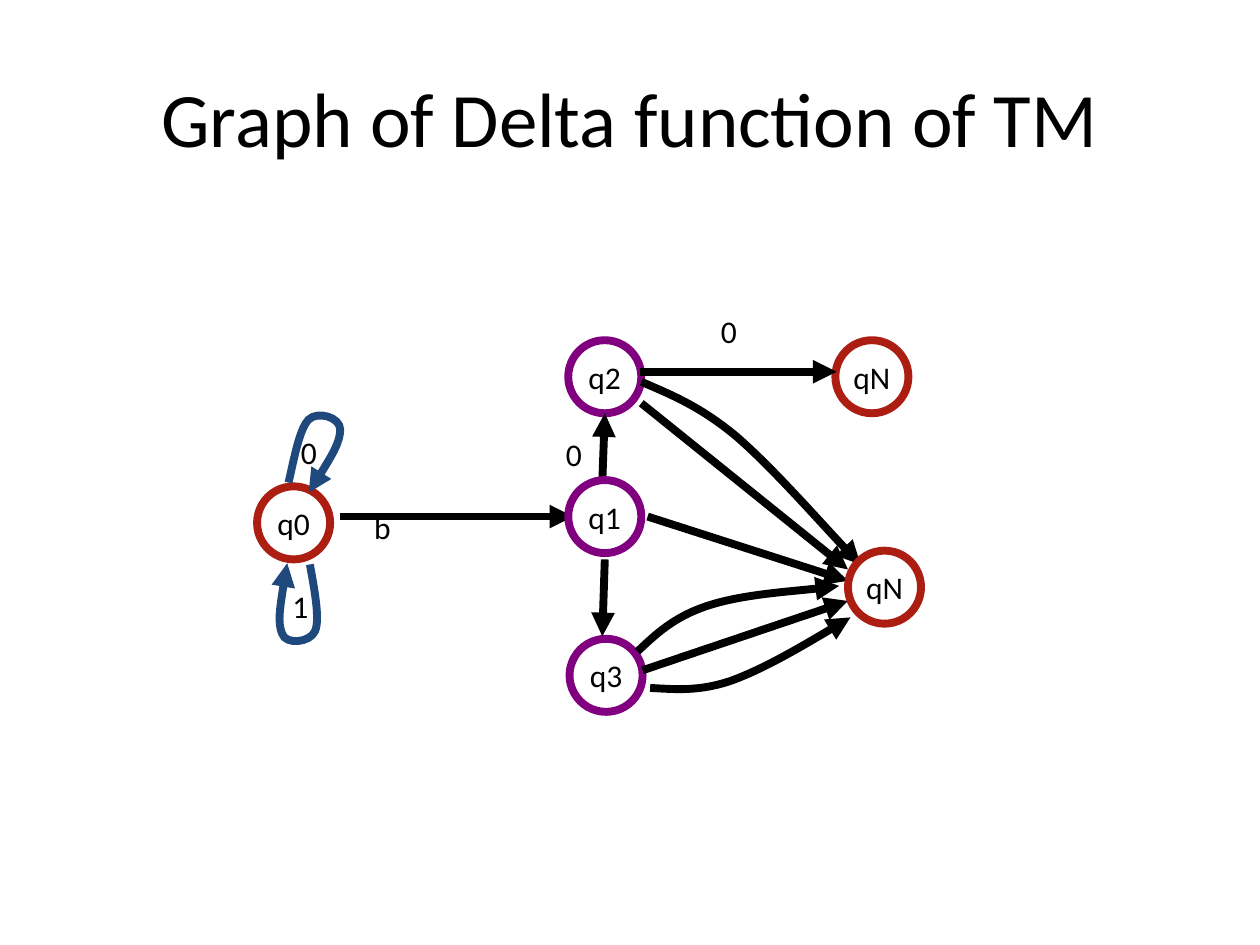
"""Build a slide with the state graph of a Turing machine's delta function."""
from lxml.etree import SubElement
from pptx import Presentation
from pptx.dml.color import RGBColor
from pptx.enum.shapes import MSO_CONNECTOR as LINK, MSO_SHAPE as SHAPE
from pptx.enum.text import MSO_ANCHOR as ANCHOR, PP_ALIGN as ALIGN
from pptx.oxml.ns import qn
from pptx.util import Inches, Pt

BLACK = RGBColor(0x00, 0x00, 0x00)
WHITE = RGBColor(0xFF, 0xFF, 0xFF)
PURPLE = RGBColor(0x80, 0x00, 0x80)
RED = RGBColor(0xAC, 0x1D, 0x12)
BLUE = RGBColor(0x1F, 0x49, 0x7D)
STROKE = Pt(4.5)
CELL = Inches(1)
NODE = 0.58
LABEL_WIDTH, LABEL_HEIGHT = 0.33, 0.4


def write(holder, text, size=18, align=ALIGN.CENTER, wrap=False):
    frame = holder.text_frame
    frame.text = text
    frame.word_wrap = wrap
    frame.vertical_anchor = ANCHOR.MIDDLE
    paragraph = frame.paragraphs[0]
    paragraph.alignment = align
    for name, value in {"name": "Calibri", "size": Pt(size)}.items():
        setattr(paragraph.font, name, value)
    paragraph.font.color.rgb = BLACK


def add_arrowhead(edge, color):
    edge.line.color.rgb = color
    edge.line.width = STROKE
    properties = edge._element.spPr
    SubElement(properties.find(qn("a:ln")), qn("a:tailEnd"), type="triangle")
    if properties.find(qn("a:effectLst")) is None:
        SubElement(properties, qn("a:effectLst"))


prs = Presentation()
prs.slide_width, prs.slide_height = 10 * CELL, int(7.5 * CELL)
slide = prs.slides.add_slide(prs.slide_layouts[5])

title = slide.shapes.title
title_box = {"left": 0.5, "top": 0.3, "width": 9, "height": 1.25}
for side, cells in title_box.items():
    setattr(title, side, int(cells * CELL))
write(title, "Graph of Delta function of TM", size=44, wrap=True)

graph = slide.shapes.add_group_shape().shapes

back_states = [("q2", 4.51, 2.7, PURPLE), ("q3", 4.52, 5.07, PURPLE),
               ("q0", 2.04, 3.86, RED), ("qN", 6.63, 2.7, RED)]
front_states = [("q1", 4.51, 3.81, PURPLE), ("qN", 6.73, 4.37, RED)]

straight_moves = [
    ((5.14, 4.1), (6.73, 4.61)),
    ((5.09, 3.2), (6.73, 4.52)),
    ((2.7, 4.1), (4.55, 4.1)),
    ((4.78, 3.83), (4.8, 3.28)),
    ((4.8, 4.44), (4.78, 5.05)),
    ((5.1, 5.32), (6.73, 4.77)),
    ((5.08, 2.95), (6.64, 2.95)),
]
curved_moves = [
    (BLACK, "", [(5.09, 3.03), (5.32, 3.13), (5.55, 3.22), (5.84, 3.46),
                 (6.13, 3.71), (6.63, 4.28), (6.83, 4.48)]),
    (BLACK, "", [(5.16, 5.46), (5.36, 5.47), (5.55, 5.49), (5.81, 5.4),
                 (6.08, 5.3), (6.57, 5.01), (6.75, 4.9)]),
    (BLACK, "", [(5.06, 5.17), (5.2, 5.04), (5.34, 4.9), (5.61, 4.81),
                 (5.88, 4.72), (6.45, 4.68), (6.66, 4.65)]),
    (BLUE, "0", [(2.29, 3.83), (2.34, 3.61), (2.38, 3.4), (2.45, 3.33),
                 (2.52, 3.26), (2.7, 3.31), (2.7, 3.41),
                 (2.7, 3.51), (2.58, 3.71), (2.45, 3.91)]),
    (BLUE, "", [(2.46, 4.48), (2.5, 4.7), (2.54, 4.92), (2.5, 5.01),
                (2.46, 5.1), (2.27, 5.12), (2.24, 5.03),
                (2.2, 4.94), (2.24, 4.7), (2.28, 4.47)]),
]
symbols = [("b", 2.87, 3.98), ("1", 2.22, 4.61), ("0", 4.39, 3.4), ("0", 5.62, 2.43)]

for layer in (back_states, front_states):
    for name, left, top, color in layer:
        state = graph.add_shape(SHAPE.OVAL, *(int(n * CELL) for n in (left, top, NODE, NODE)))
        state.shadow.inherit = False
        state.fill.solid()
        state.fill.fore_color.rgb = WHITE
        state.line.color.rgb = color
        state.line.width = STROKE
        write(state, name)
    if layer is front_states:
        continue

    for start, end in straight_moves:
        move = graph.add_connector(LINK.STRAIGHT, *(int(n * CELL) for n in start + end))
        add_arrowhead(move, BLACK)

    for color, symbol, knots in curved_moves:
        start, *rest = [(int(x * CELL), int(y * CELL)) for x, y in knots]
        outline = graph.build_freeform(*start)
        outline.add_line_segments(rest, close=False)
        curve = outline.convert_to_shape()
        curve.shadow.inherit = False
        curve.fill.background()
        route = curve._element.find(".//" + qn("a:path"))
        segments = route.findall(qn("a:lnTo"))
        for first in range(0, len(segments), 3):
            bezier = SubElement(route, qn("a:cubicBezTo"))
            for segment in segments[first:first + 3]:
                bezier.append(segment[0])
                route.remove(segment)
        add_arrowhead(curve, color)
        if symbol:
            write(curve, symbol, align=ALIGN.LEFT)

for symbol, left, top in symbols:
    box = (left, top, LABEL_WIDTH, LABEL_HEIGHT)
    write(graph.add_textbox(*(int(n * CELL) for n in box)), symbol)

prs.save("out.pptx")
